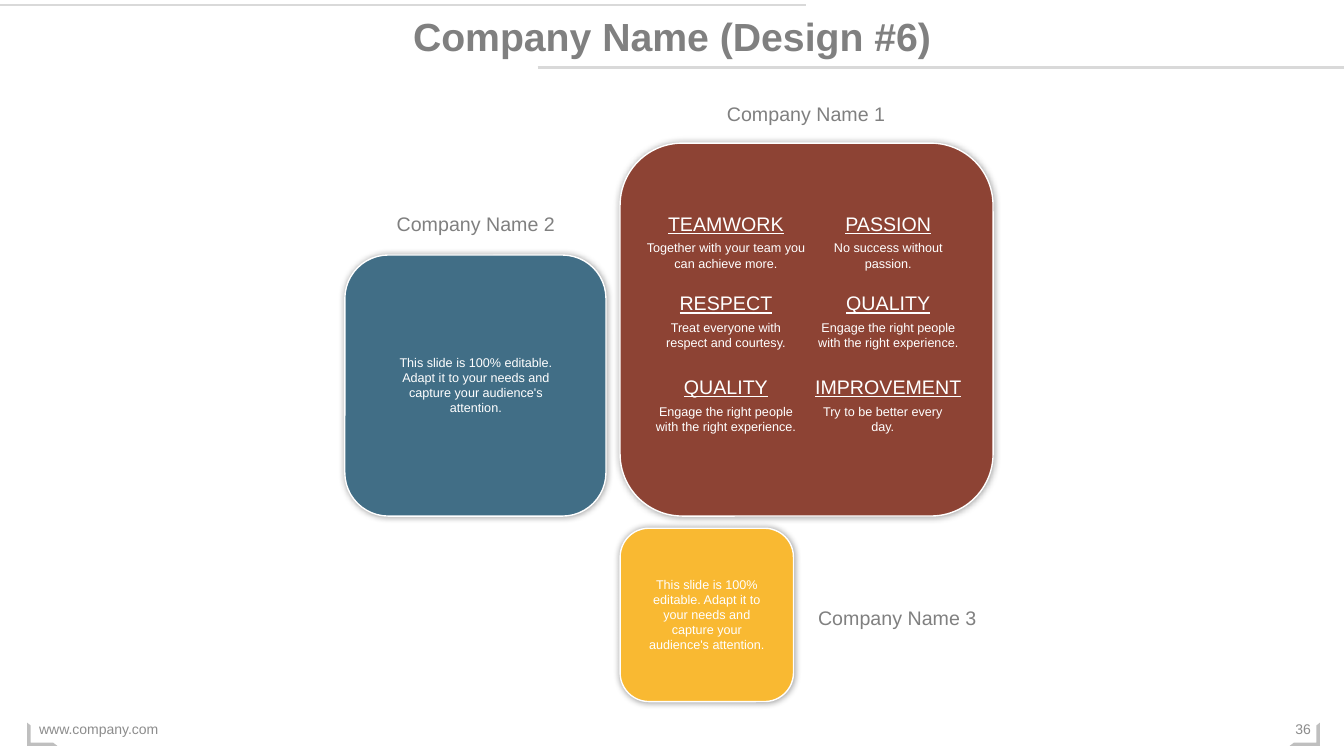
from dataclasses import dataclass

from lxml import etree
from pptx import Presentation
from pptx.dml.color import RGBColor
from pptx.enum.shapes import MSO_CONNECTOR, MSO_SHAPE
from pptx.enum.text import MSO_ANCHOR, MSO_AUTO_SIZE, PP_ALIGN
from pptx.oxml.ns import qn
from pptx.util import Inches, Pt

LEFT, CENTER, RIGHT = PP_ALIGN.LEFT, PP_ALIGN.CENTER, PP_ALIGN.RIGHT
TOP, MIDDLE = MSO_ANCHOR.TOP, MSO_ANCHOR.MIDDLE
FIT_TEXT, NO_FIT = MSO_AUTO_SIZE.SHAPE_TO_FIT_TEXT, MSO_AUTO_SIZE.NONE
ROUNDED, HALF_FRAME = MSO_SHAPE.ROUNDED_RECTANGLE, MSO_SHAPE.HALF_FRAME
STRAIGHT = MSO_CONNECTOR.STRAIGHT

# The grid has 133.3 columns and 75 rows of square cells
COLUMNS, ROWS = 133.3, 75
CELL = Inches(0.1)

FONT = "Arial"
WHITE, GREY, FOOTER_GREY = "FFFFFF", "808080", "8C8C8C"
RULE_GREY, BRACKET_GREY = "D9D9D9", "BFBFBF"
EDITABLE = ("This slide is 100% editable. Adapt it to your needs and "
            "capture your audience's attention.")


@dataclass(frozen=True)
class Label:
    text: str
    col: float
    row: float
    width: float
    height: float
    size: int
    color: str
    align: PP_ALIGN = CENTER
    anchor: MSO_ANCHOR = TOP
    bold: bool = False
    underline: bool = False
    fit: MSO_AUTO_SIZE = FIT_TEXT


@dataclass(frozen=True)
class Panel:
    col: float
    row: float
    side: float
    color: str


@dataclass(frozen=True)
class Value:
    name: str
    detail: str
    column: int
    line: int
    name_width: float = 17.8
    detail_width: float = 17.8
    detail_shift: float = 0


PANELS = [
    Panel(61.5, 14.2, 37, "8D4334"),
    Panel(34.2, 25.3, 25.9, "416E86"),
    Panel(61.5, 52.4, 17.2, "F9B932"),
]

VALUE_CENTERS = (72, 88.1)
VALUE_ROWS = (20.5, 28.4, 36.7)
DETAIL_DROP = 2.85
VALUES = [
    Value("TEAMWORK", "Together with your team you can achieve more.", 0, 0),
    Value("RESPECT", "Treat everyone with respect and courtesy.", 0, 1, 11.9, 16),
    Value("QUALITY", "Engage the right people with the right experience.", 0, 2),
    Value("PASSION", "No success without passion.", 1, 0, 11.9, 14.2),
    Value("QUALITY", "Engage the right people with the right experience.", 1, 1),
    Value("IMPROVEMENT", "Try to be better every day.", 1, 2, 18.8, 14.3, -0.55),
]

LABELS = [
    Label("Company Name (Design #6)", 0, 0.7, COLUMNS, 5.7, 28, GREY, bold=True),
    Label("Company Name 1", 66.9, 9.6, 26.1, 3.4, 14, GREY),
    Label("Company Name 2", 35.7, 20.5, 23, 3.4, 14, GREY),
    Label("Company Name 3", 78.8, 59.6, 20.4, 3.4, 14, GREY),
    Label(EDITABLE, 38.2, 34.7, 18, 7.1, 9, WHITE),
    Label(EDITABLE, 63.2, 56.7, 13.8, 8.6, 9, WHITE),
    Label("www.company.com", 2.9, 70.3, 45, 4, 10, FOOTER_GREY, LEFT, MIDDLE, fit=NO_FIT),
    Label("36", 126.8, 70.3, 4.2, 4, 10, FOOTER_GREY, RIGHT, MIDDLE, fit=NO_FIT),
]


def cells(*counts: float) -> list[int]:
    return [round(count * CELL) for count in counts]


def rgb(color: str) -> RGBColor:
    return RGBColor.from_string(color)


def draw_rule(slide, start: float, end: float, row: float) -> None:
    rule = slide.shapes.add_connector(STRAIGHT, *cells(start, row, end, row))
    rule.line.color.rgb = rgb(RULE_GREY)
    rule.line.width = Pt(1.5)
    etree.SubElement(rule._element.spPr, qn("a:effectLst"))


def draw_bracket(slide, col: float, flipped: bool) -> None:
    bracket = slide.shapes.add_shape(HALF_FRAME, *cells(col, 71.7, 3, 2.3))
    bracket.adjustments[0], bracket.adjustments[1] = 0.14, 0.15
    bracket.rotation = 180
    if flipped:
        bracket._element.spPr.xfrm.set("flipH", "1")
    bracket.shadow.inherit = False
    bracket.fill.solid()
    bracket.fill.fore_color.rgb = rgb(BRACKET_GREY)
    bracket.line.fill.background()


def draw_panel(slide, panel: Panel) -> None:
    square = slide.shapes.add_shape(
        ROUNDED, *cells(panel.col, panel.row, panel.side, panel.side))
    square.fill.solid()
    square.fill.fore_color.rgb = rgb(panel.color)
    square.line.color.rgb = rgb(WHITE)
    square.line.width = Pt(1)
    # Soft black glow around the panel
    square.shadow.inherit = False
    effects = square._element.spPr.find(qn("a:effectLst"))
    glow = etree.SubElement(effects, qn("a:outerShdw"), blurRad=str(Pt(5)),
                            dist="0", dir="0", algn="ctr", rotWithShape="0")
    black = etree.SubElement(glow, qn("a:srgbClr"), val="000000")
    etree.SubElement(black, qn("a:alpha"), val="40000")


def draw_label(slide, label: Label) -> None:
    box = slide.shapes.add_textbox(
        *cells(label.col, label.row, label.width, label.height))
    frame = box.text_frame
    frame.word_wrap = True
    frame.auto_size = label.fit
    frame.vertical_anchor = label.anchor
    paragraph = frame.paragraphs[0]
    paragraph.text = label.text
    paragraph.alignment = label.align
    font = paragraph.font
    font.name, font.size = FONT, Pt(label.size)
    font.bold, font.underline = label.bold, label.underline
    font.color.rgb = rgb(label.color)


def draw_value(slide, value: Value) -> None:
    center, row = VALUE_CENTERS[value.column], VALUE_ROWS[value.line]
    draw_label(slide, Label(
        value.name, center - value.name_width / 2, row,
        value.name_width, 3.4, 14, WHITE, underline=True))
    draw_label(slide, Label(
        value.detail, center + value.detail_shift - value.detail_width / 2,
        row + DETAIL_DROP, value.detail_width, 4, 9, WHITE))


def main() -> None:
    deck = Presentation()
    deck.slide_width, deck.slide_height = cells(COLUMNS, ROWS)
    slide = deck.slides.add_slide(deck.slide_layouts[6])

    # Header rules and footer brackets
    draw_rule(slide, 0, COLUMNS * 0.6, 0.5)
    draw_rule(slide, COLUMNS * 0.4, COLUMNS, 6.7)
    draw_bracket(slide, 127.9, False)
    draw_bracket(slide, 2.7, True)

    # Company panels, their values and all other text
    for panel in PANELS:
        draw_panel(slide, panel)
    for value in VALUES:
        draw_value(slide, value)
    for label in LABELS:
        draw_label(slide, label)

    deck.save("out.pptx")


if __name__ == "__main__":
    main()
